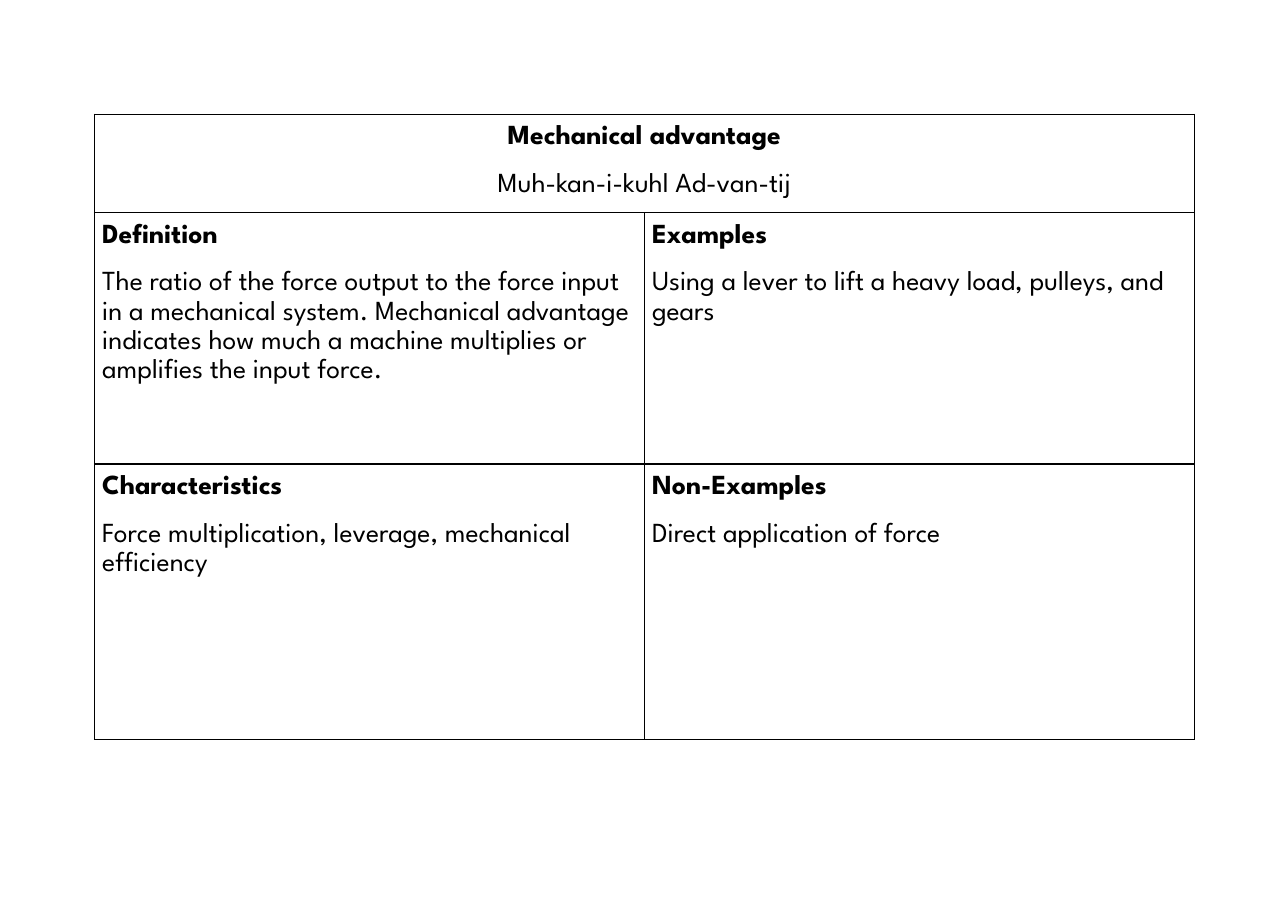
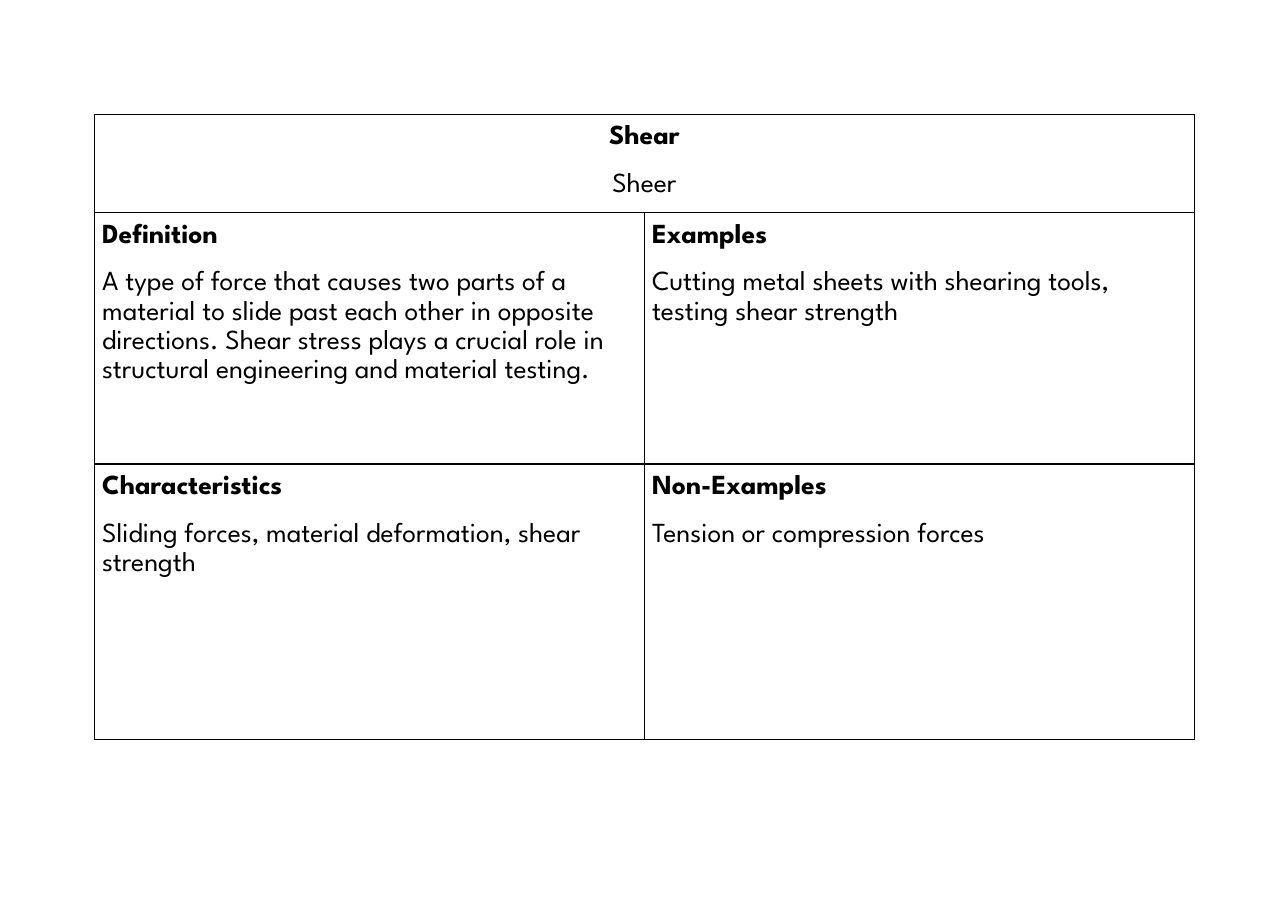
from pptx import Presentation
from pptx.dml.color import RGBColor
from pptx.enum.text import PP_ALIGN
from pptx.oxml.ns import qn
from pptx.util import Pt
from lxml import etree

LEFT, CENTER = PP_ALIGN.LEFT, PP_ALIGN.CENTER
COLORS = {"ink": "000000"}
FONT = "League Spartan"
HEADINGS = ["Definition", "Examples", "Characteristics", "Non-Examples"]
COLUMN_WIDTH = 359.3
ROW_HEIGHTS = [64.4, 164.2, 179.9]

CARDS = [
    (
        "Mechanical advantage",
        "Muh-kan-i-kuhl Ad-van-tij",
        [
            "The ratio of the force output to the force input in a mechanical system. "
            "Mechanical advantage indicates how much a machine multiplies or amplifies the input force.",
            "Using a lever to lift a heavy load, pulleys, and gears",
            "Force multiplication, leverage, mechanical efficiency",
            "Direct application of force",
        ],
    ),
    (
        "Shear",
        "Sheer",
        [
            "A type of force that causes two parts of a material to slide past each other in opposite "
            "directions. Shear stress plays a crucial role in structural engineering and material testing.",
            "Cutting metal sheets with shearing tools, testing shear strength",
            "Sliding forces, material deformation, shear strength",
            "Tension or compression forces",
        ],
    ),
]


class VocabularyDeck:
    """Builds vocabulary cards, one table to a slide, in a shared style."""

    def __init__(self):
        self.presentation = Presentation()
        self.presentation.slide_width = Pt(841.68)
        self.presentation.slide_height = Pt(595.44)
        self.slide = None

    def add_slide(self):
        self.slide = self.presentation.slides.add_slide(self.presentation.slide_layouts[6])

    def add_card(self, term, pronunciation, bodies):
        self.add_slide()
        frame = self.slide.shapes.add_table(
            3, 2, Pt(61.8), Pt(74.7), Pt(2 * COLUMN_WIDTH), Pt(sum(ROW_HEIGHTS))
        )
        table = frame.table
        table.first_row = table.horz_banding = False
        for column in table.columns:
            column.width = Pt(COLUMN_WIDTH)
        for row, height in zip(table.rows, ROW_HEIGHTS):
            row.height = Pt(height)
        for cell in table.iter_cells():
            self.style_cell(cell)
        table.cell(0, 0).merge(table.cell(0, 1))
        self.write_cell(table.cell(0, 0), term, pronunciation, CENTER, space_after=12)
        for index, (heading, body) in enumerate(zip(HEADINGS, bodies)):
            row, column = divmod(index, 2)
            self.write_cell(table.cell(row + 1, column), heading, body)

    def style_cell(self, cell):
        cell.margin_left = cell.margin_right = cell.margin_top = cell.margin_bottom = Pt(5)
        properties = cell._tc.get_or_add_tcPr()
        for side in ("a:lnL", "a:lnR", "a:lnT", "a:lnB"):
            border = etree.SubElement(properties, qn(side), w=str(Pt(1)))
            fill = etree.SubElement(border, qn("a:solidFill"))
            etree.SubElement(fill, qn("a:srgbClr"), val=COLORS["ink"])
        cell.fill.background()

    def write_cell(self, cell, heading, body, alignment=LEFT, space_after=0):
        text_frame = cell.text_frame
        self.write_paragraph(text_frame.paragraphs[0], heading, alignment, bold=True)
        paragraph = text_frame.add_paragraph()
        self.write_paragraph(paragraph, body, alignment)
        paragraph.space_before = Pt(12)
        paragraph.space_after = Pt(space_after)

    def write_paragraph(self, paragraph, text, alignment, bold=False):
        paragraph.text = text
        paragraph.alignment = alignment
        paragraph.line_spacing = 1.15
        paragraph.font.name = FONT
        paragraph.font.size = Pt(18)
        paragraph.font.bold = bold
        paragraph.font.color.rgb = RGBColor.from_string(COLORS["ink"])


def main():
    deck = VocabularyDeck()
    for card in CARDS:
        deck.add_card(*card)
    deck.presentation.save("out.pptx")


if __name__ == "__main__":
    main()
